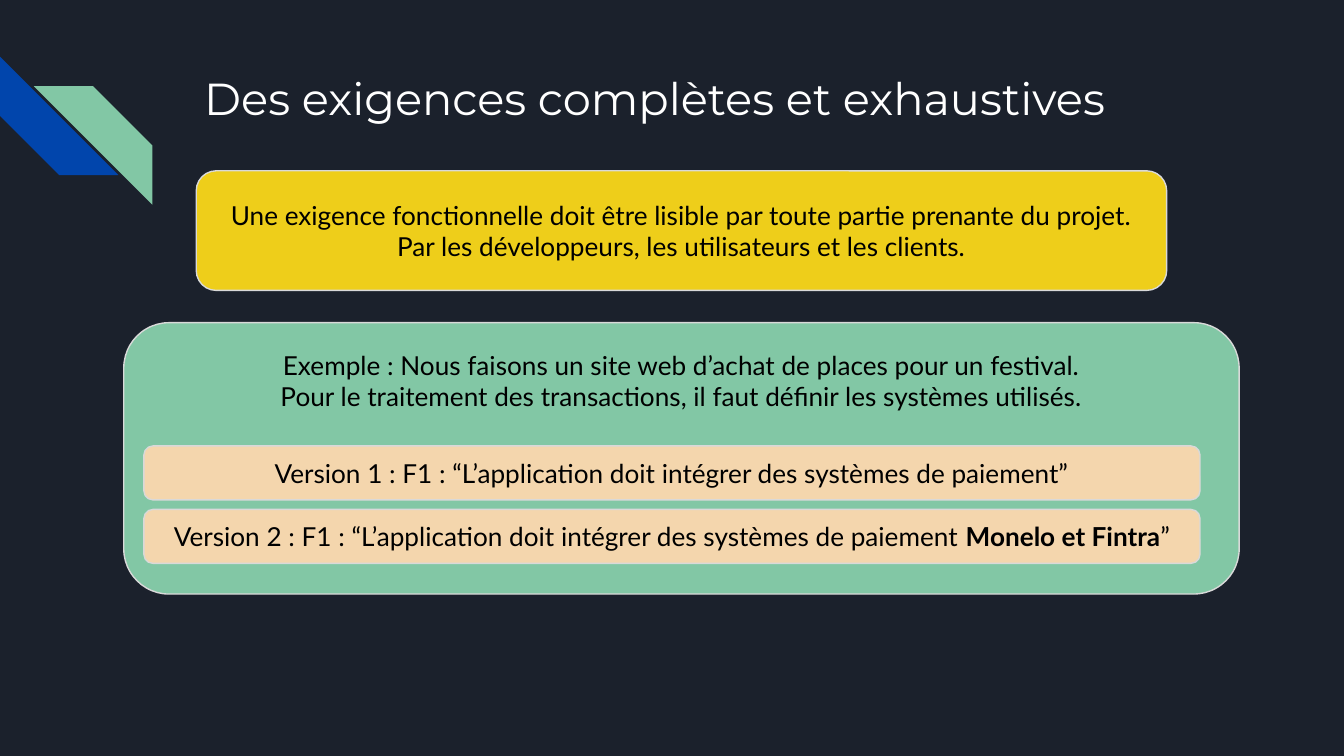
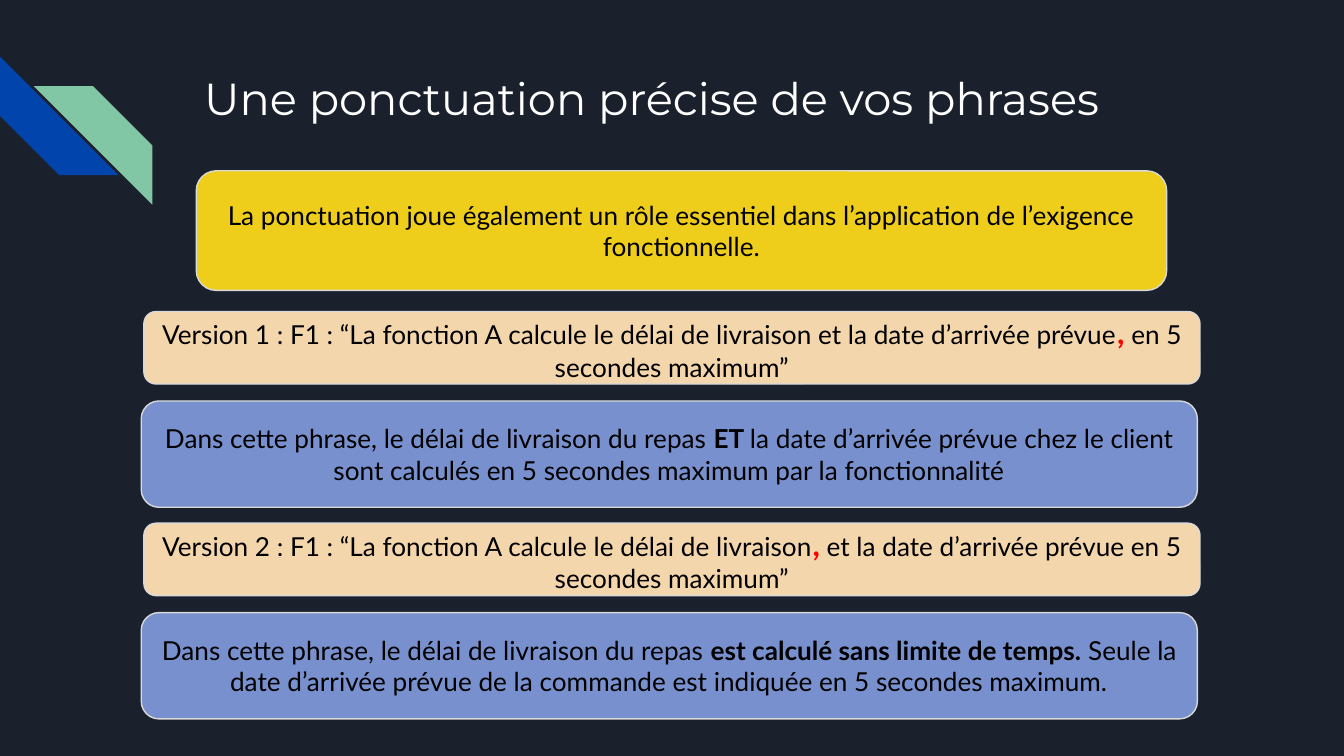
from dataclasses import dataclass

from pptx import Presentation
from pptx import util as u
from pptx.dml import color
from pptx.enum import shapes, text


@dataclass(frozen=True)
class Theme:
    night: str = "1B212C"
    blue: str = "0145AC"
    green: str = "82C7A5"
    yellow: str = "EECE1A"
    sand: str = "F4D6AD"
    periwinkle: str = "7890CD"
    outline: str = "D9D9D9"
    white: str = "FFFFFF"
    black: str = "000000"
    red: str = "FF0000"
    title_font: str = "Montserrat"
    body_font: str = "Lato"
    title_size: int = 24
    body_size: int = 14
    mark_size: int = 17
    line_width: float = 0.75


class Slides:
    def __init__(self, deck, theme):
        self.deck = deck
        self.theme = theme
        self.page = None

    def start(self, title):
        self.page = self.deck.slides.add_slide(self.deck.slide_layouts[6])
        background = self.page.background.fill
        background.solid()
        background.fore_color.rgb = color.RGBColor.from_string(self.theme.night)
        self.stripe(0, 1.07, self.theme.blue, rotation=270)
        self.stripe(0.64, 1.63, self.theme.green, flipped=True)
        self.title(title)

    def shape(self, kind, left, top, width, height, fill):
        shape = self.page.shapes.add_shape(
            kind, u.Cm(left), u.Cm(top), u.Cm(width), u.Cm(height))
        shape.shadow.inherit = False
        shape.fill.solid()
        shape.fill.fore_color.rgb = color.RGBColor.from_string(fill)
        return shape

    def stripe(self, left, top, fill, rotation=0, flipped=False):
        stripe = self.shape(
            shapes.MSO_SHAPE.DIAGONAL_STRIPE, left, top, 2.24, 2.24, fill)
        stripe.line.fill.background()
        stripe.rotation = rotation
        if flipped:
            stripe.element.xpath(".//a:xfrm")[0].set("flipH", "1")

    def frame(self, box, anchor):
        frame = box.text_frame
        frame.word_wrap = True
        frame.vertical_anchor = anchor
        frame.margin_left = frame.margin_right = u.Cm(0.25)
        frame.margin_top = frame.margin_bottom = u.Cm(0.25)
        return frame

    def style(self, span, font, size, tint, bold=False):
        span.font.name = font
        span.font.size = u.Pt(size)
        span.font.color.rgb = color.RGBColor.from_string(tint)
        span.font.bold = bold

    def title(self, words):
        box = self.page.shapes.add_textbox(
            u.Cm(3.61), u.Cm(1.09), u.Cm(19.56), u.Cm(2.54))
        frame = self.frame(box, text.MSO_ANCHOR.TOP)
        frame.text = words
        self.style(frame.paragraphs[0].runs[0], self.theme.title_font,
                   self.theme.title_size, self.theme.white)

    def panel(self, left, top, width, height, fill, *lines,
              anchor=text.MSO_ANCHOR.MIDDLE):
        theme = self.theme
        box = self.shape(shapes.MSO_SHAPE.ROUNDED_RECTANGLE,
                         left, top, width, height, fill)
        box.line.color.rgb = color.RGBColor.from_string(theme.outline)
        box.line.width = u.Pt(theme.line_width)
        frame = self.frame(box, anchor)
        for index, spans in enumerate(lines):
            para = frame.add_paragraph() if index else frame.paragraphs[0]
            para.alignment = text.PP_ALIGN.CENTER
            for position, words in enumerate(spans):
                span = para.add_run()
                span.text = words
                marked = words == ","
                self.style(span, theme.body_font,
                           theme.mark_size if marked else theme.body_size,
                           theme.red if marked else theme.black,
                           bold=position == 1)

    def intro(self, words):
        self.panel(3.71, 3.23, 18.34, 2.26, self.theme.yellow, [words])

    def version(self, top, height, *spans):
        self.panel(2.72, top, 19.96, height, self.theme.sand, spans)

    def reading(self, top, *spans):
        self.panel(2.67, top, 19.96, 2.01, self.theme.periwinkle, spans)


def complete_requirements(slides):
    slides.start("Des exigences complètes et exhaustives")
    slides.intro("Une exigence fonctionnelle doit être lisible par toute partie "
                 "prenante du projet. Par les développeurs, les utilisateurs et "
                 "les clients.")
    slides.panel(
        2.34, 6.1, 21.08, 5.13, slides.theme.green,
        ["Exemple : Nous faisons un site web d’achat de places pour un festival."],
        ["Pour le traitement des transactions, il faut définir les systèmes utilisés."],
        anchor=text.MSO_ANCHOR.TOP)
    claim = "F1 : “L’application doit intégrer des systèmes de paiement"
    versions = [
        [f"Version 1 : {claim}”"],
        [f"Version 2 : {claim} ", "Monelo et Fintra", "”"],
    ]
    for index, spans in enumerate(versions):
        slides.version(8.43 + 1.2 * index, 1.02, *spans)


def precise_punctuation(slides):
    slides.start("Une ponctuation précise de vos phrases")
    slides.intro("La ponctuation joue également un rôle essentiel dans "
                 "l’application de l’exigence fonctionnelle.")
    claim = "F1 : “La fonction A calcule le délai de livraison"
    subject = "Dans cette phrase, le délai de livraison du repas "
    pairs = [
        ([f"Version 1 : {claim} et la date d’arrivée prévue", ",",
          " en 5 secondes maximum”"],
         [subject, "ET ",
          "la date d’arrivée prévue chez le client sont calculés en 5 secondes "
          "maximum par la fonctionnalité"]),
        ([f"Version 2 : {claim}", ",",
          " et la date d’arrivée prévue en 5 secondes maximum”"],
         [subject, "est calculé sans limite de temps. ",
          "Seule la date d’arrivée prévue de la commande est indiquée en 5 "
          "secondes maximum."]),
    ]
    for index, (version, reading) in enumerate(pairs):
        top = 5.89 + 4 * index
        slides.version(top, 1.37, *version)
        slides.reading(top + 1.69, *reading)


def main():
    deck = Presentation()
    deck.slide_width = u.Cm(25.4)
    deck.slide_height = u.Cm(14.29)
    slides = Slides(deck, Theme())
    complete_requirements(slides)
    precise_punctuation(slides)
    deck.save("out.pptx")


if __name__ == "__main__":
    main()
